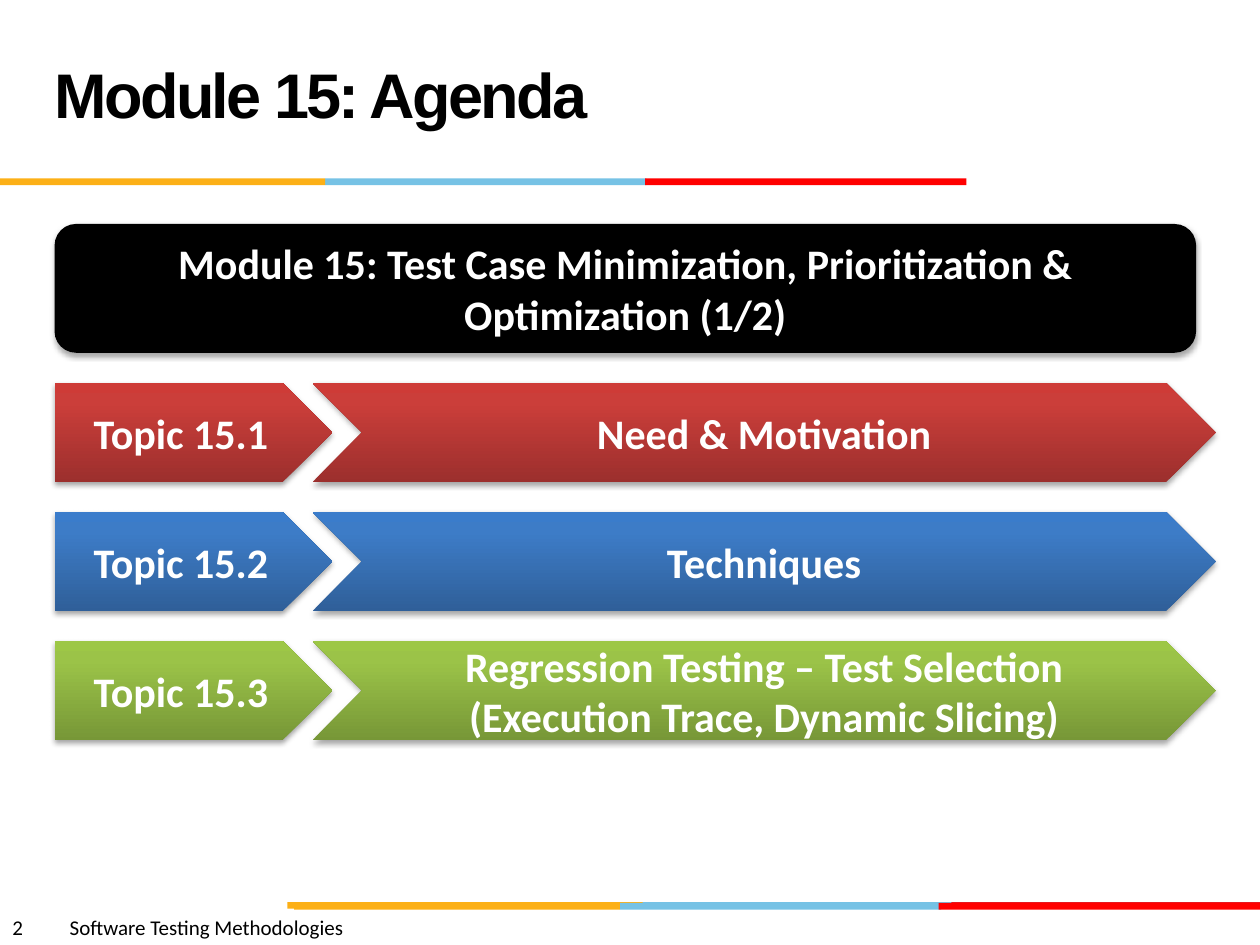
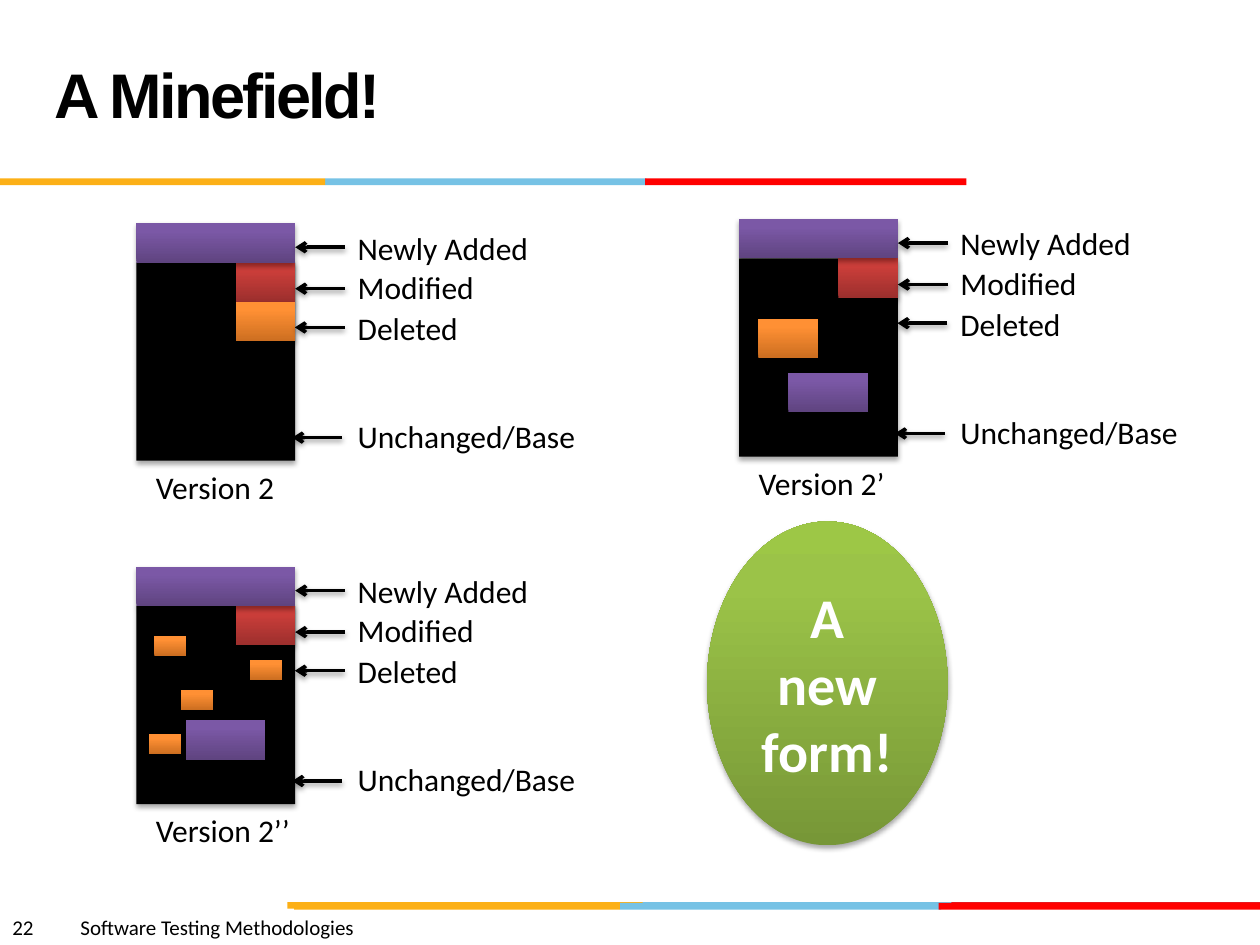
import copy
import lxml.etree
import pptx
import pptx.dml.color
import pptx.enum.shapes
import pptx.enum.text
import pptx.oxml.ns
import pptx.util

Pt = pptx.util.Pt
SHAPE = pptx.enum.shapes.MSO_SHAPE
ALIGN = pptx.enum.text.PP_ALIGN
ANCHOR = pptx.enum.text.MSO_ANCHOR
qn = pptx.oxml.ns.qn

# Shared colours; gradients run upwards from dark to light
BLACK, WHITE = "000000", "FFFFFF"
AMBER, SKY, SCARLET, CRIMSON = "FCB017", "76C2E5", "FF0000", "E31C24"
RED = ("9C2F2D", "CB3E3A", "CE3B37")
BLUE = ("2F5F99", "3D7CC7", "3A7CCB")
GREEN = ("779737", "9BC348", "9DC746")
ORANGE = ("CC6E20", "FF9034", "FF9136")
PURPLE = ("5F4480", "7B58A6", "7C57A8")
GRADIENT_STOPS = (0, 80000, 100000)

# Shared bands: top, then (left, width, colour) of each piece
BAND_HEIGHT = 3.8
BANDS = [
    (515.5, [(364.3, 183.6, SKY), (543.6, 176.4, CRIMSON), (164.2, 203, AMBER)]),
    (516, [(354.2, 183.6, SKY), (168, 186.2, AMBER), (536.4, 183.6, SCARLET)]),
    (102, [(185.8, 183.6, SKY), (0, 185.8, AMBER), (368.6, 183.6, SCARLET)]),
]
FOOTER = "Software Testing Methodologies"

# Agenda content
MODULE = "Module 15: Test Case Minimization, Prioritization & Optimization (1/2)"
TOPICS = [
    ("Topic 15.1", "Need & Motivation", RED),
    ("Topic 15.2", "Techniques", BLUE),
    ("Topic 15.3", "Regression Testing – Test Selection "
     "(Execution Trace, Dynamic Slicing)", GREEN),
]
TOPIC_TOP, TOPIC_PITCH, TOPIC_HEIGHT = 218.8, 73.75, 56.7

# Minefield content: pieces are (left, top, width, height, fill) within a version
CODE_WIDTH, PART_HEIGHT, BASE_HEIGHT = 90.7, 22.5, 113.2
CHANGE_LEFT, CHANGE_WIDTH = 56.7, 34
ADDED_BLOCK = (28.2, 87.8, 45.4, PART_HEIGHT, PURPLE)
MINES = [(10.2, 39.6), (64.8, 53.4), (25.4, 70.6), (7.2, 95.8)]
VERSIONS = [
    ("Version 2", 83, 78, 127.6,
     [(CHANGE_LEFT, 2 * PART_HEIGHT, CHANGE_WIDTH, PART_HEIGHT, ORANGE)]),
    ("Version 2’", 87, 422.4, 125.2,
     [ADDED_BLOCK, (11, 56.9, CHANGE_WIDTH, PART_HEIGHT, ORANGE)]),
    ("Version 2’’", 91.5, 78, 323.8,
     [ADDED_BLOCK] + [(x, y, 18.3, 11.3, ORANGE) for x, y in MINES]),
]
# Label, its top and width, then the end and height of its arrow
LABELS = [
    ("Newly Added", -0.5, 113, 90.7, 13.7),
    ("Modified", 22, 82, 90.7, 37.4),
    ("Deleted", 45.4, 73, 90.5, 59.5),
    ("Unchanged/Base", 107.2, 140.4, 89, 122.5),
]
LABEL_LEFT, LABEL_HEIGHT, ARROW_LENGTH = 119.3, 29, 28.4


def rgb(value):
    return pptx.dml.color.RGBColor.from_string(value)


def write(shape, text, size=18, color=BLACK, font="Calibri", bold=False,
          align=ALIGN.LEFT, anchor=ANCHOR.TOP, wrap=True, line=None, tracking=None):
    frame = shape.text_frame
    frame.word_wrap = wrap
    frame.auto_size = pptx.enum.text.MSO_AUTO_SIZE.NONE
    frame.vertical_anchor = anchor
    para = frame.paragraphs[0]
    para.alignment = align
    if line:
        para.line_spacing = Pt(line)
    span = para.add_run()
    span.text = text
    span.font.name, span.font.size, span.font.bold = font, Pt(size), bold
    span.font.color.rgb = rgb(color)
    if tracking:
        span.font._element.set("spc", str(tracking))
    return para


def text_box(page, left, top, width, height, text, **style):
    box = page.shapes.add_textbox(Pt(left), Pt(top), Pt(width), Pt(height))
    return write(box, text, **style)


def cast_shadow(effects, distance, opacity):
    shadow = lxml.etree.SubElement(
        effects, qn("a:outerShdw"), blurRad=str(Pt(3.1)), dist=str(Pt(distance)),
        dir="5400000", rotWithShape="0")
    tint = lxml.etree.SubElement(shadow, qn("a:srgbClr"), val=BLACK)
    lxml.etree.SubElement(tint, qn("a:alpha"), val=str(opacity * 1000))


def paint(shape, fill):
    if isinstance(fill, str):
        shape.fill.solid()
        shape.fill.fore_color.rgb = rgb(fill)
        return
    shape.fill.gradient()
    shape.fill.gradient_angle = 90
    stop_list = shape.element.spPr.find(".//" + qn("a:gsLst"))
    stop_list.append(copy.deepcopy(stop_list[-1]))
    for stop, place, color in zip(shape.fill.gradient_stops, GRADIENT_STOPS, fill):
        stop.position = place / 100000
        stop.color.rgb = rgb(color)


def add_block(page, kind, left, top, width, height, fill, shadow=True):
    block = page.shapes.add_shape(kind, Pt(left), Pt(top), Pt(width), Pt(height))
    paint(block, fill)
    block.line.fill.background()
    block.shadow.inherit = False
    if shadow:
        cast_shadow(block.element.spPr.find(qn("a:effectLst")), 1.8, 35)
    return block


def add_arrow(page, start, end, height):
    arrow = page.shapes.add_connector(
        pptx.enum.shapes.MSO_CONNECTOR.STRAIGHT,
        Pt(start), Pt(height), Pt(end), Pt(height))
    arrow.line.width = Pt(2)
    arrow.line.color.rgb = rgb(BLACK)
    properties = arrow.element.spPr
    lxml.etree.SubElement(properties.find(qn("a:ln")), qn("a:tailEnd"), type="arrow")
    cast_shadow(lxml.etree.SubElement(properties, qn("a:effectLst")), 1.6, 38)


def add_page(deck, title, number, footer_tab):
    page = deck.slides.add_slide(deck.slide_layouts[5])
    # Bands
    for top, pieces in BANDS:
        for left, width, color in pieces:
            add_block(page, SHAPE.RECTANGLE, left, top, width, BAND_HEIGHT, color,
                      shadow=False)
    # Footer, with a tab stop between number and course name
    para = text_box(page, 0, 519, 360, 21.8, f"{number}\t{FOOTER}", size=12)
    tabs = lxml.etree.SubElement(para._p.get_or_add_pPr(), qn("a:tabLst"))
    lxml.etree.SubElement(tabs, qn("a:tab"), pos=str(Pt(footer_tab)), algn="l")
    # Title
    heading = page.shapes.title
    heading.left, heading.top = Pt(24), Pt(12)
    heading.width, heading.height = Pt(498), Pt(90)
    write(heading, title, size=36, font="Arial", bold=True, anchor=ANCHOR.MIDDLE,
          line=36, tracking=-150)
    return page


def add_agenda(deck):
    page = add_page(deck, "Module 15: Agenda", 2, 32.8)
    style = dict(size=24, color=WHITE, bold=True, align=ALIGN.CENTER,
                 anchor=ANCHOR.MIDDLE)
    for row, (topic, subject, fill) in enumerate(TOPICS):
        top = TOPIC_TOP + row * TOPIC_PITCH
        write(add_block(page, SHAPE.PENTAGON, 31.2, top, 158.6, TOPIC_HEIGHT, fill),
              topic, **style)
        write(add_block(page, SHAPE.CHEVRON, 178.6, top, 516, TOPIC_HEIGHT, fill),
              subject, **style)
    write(add_block(page, SHAPE.ROUNDED_RECTANGLE, 31.2, 128, 652.3, 73.6, BLACK),
          MODULE, **style)


def add_version(page, name, name_width, left, top, pieces):
    parts = [
        (0, PART_HEIGHT, CODE_WIDTH, BASE_HEIGHT, BLACK),
        (CHANGE_LEFT, PART_HEIGHT, CHANGE_WIDTH, PART_HEIGHT, RED),
        (0, 0, CODE_WIDTH, PART_HEIGHT, PURPLE),
    ]
    for x, y, width, height, fill in parts + pieces:
        add_block(page, SHAPE.RECTANGLE, left + x, top + y, width, height, fill)
    text_box(page, left + 4, top + 136.2, name_width, LABEL_HEIGHT, name, wrap=False)
    for label, y, width, arrow_end, arrow_y in LABELS:
        text_box(page, left + LABEL_LEFT, top + y, width, LABEL_HEIGHT, label,
                 wrap=False)
        add_arrow(page, left + arrow_end + ARROW_LENGTH, left + arrow_end,
                  top + arrow_y)


def add_minefield(deck):
    page = add_page(deck, "A Minefield!", 22, 38.9)
    for version in VERSIONS:
        add_version(page, *version)
    write(add_block(page, SHAPE.OVAL, 404, 298, 137.5, 185, GREEN), "A new form!",
          size=32, color=WHITE, bold=True, align=ALIGN.CENTER, anchor=ANCHOR.MIDDLE)


def main():
    deck = pptx.Presentation()
    deck.slide_width, deck.slide_height = Pt(720), Pt(540)
    add_agenda(deck)
    add_minefield(deck)
    deck.save("out.pptx")


if __name__ == "__main__":
    main()
